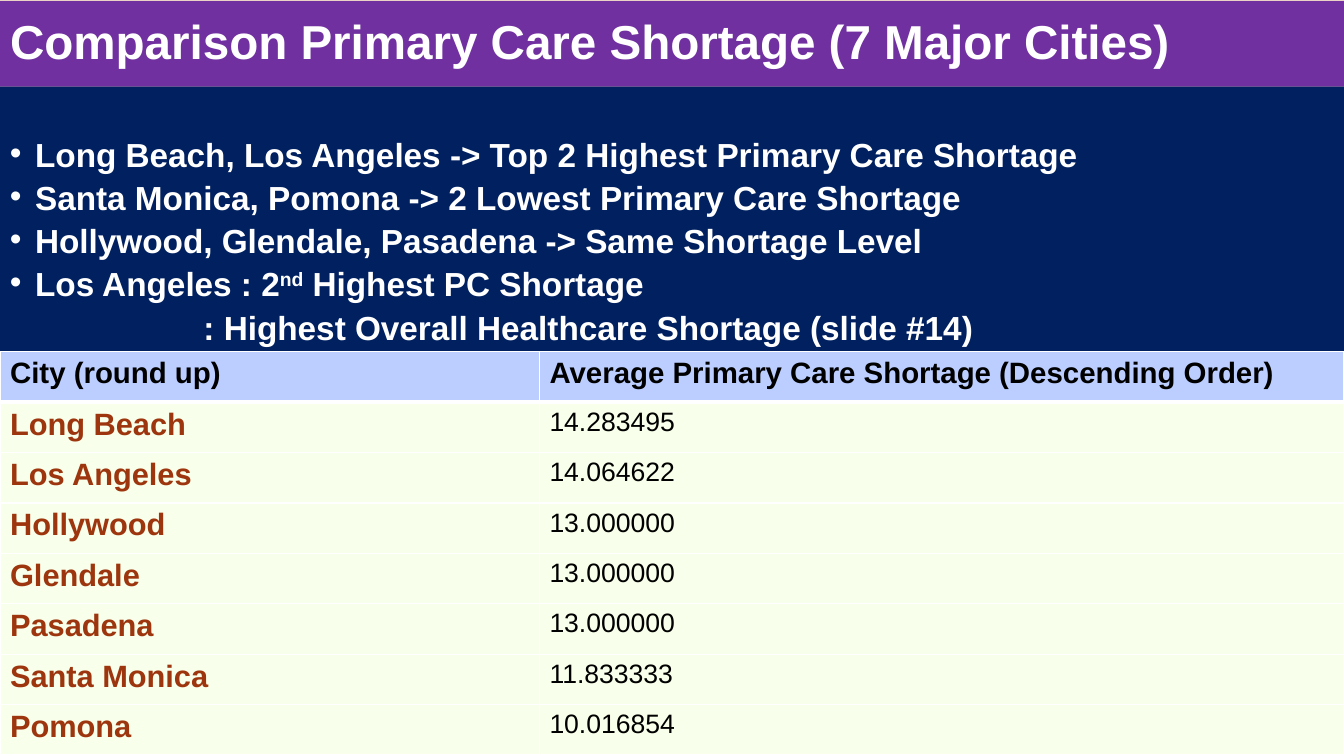
from lxml import etree
from pptx import Presentation
from pptx.dml.color import RGBColor
from pptx.enum import text
from pptx.oxml import ns
from pptx.util import Inches, Pt

FONT = "Arial"
COLORS = {
    "background": "FCEAD0",
    "title": "7030A0",
    "panel": "002060",
    "white": "FFFFFF",
    "black": "000000",
    "city": "9D360E",
    "header": "BBCEFF",
    "row": "F8FFEA",
}
SLIDE_WIDTH = 13.33
FINDINGS = [
    ["Long Beach, Los Angeles -> Top 2 Highest Primary Care Shortage"],
    ["Santa Monica, Pomona -> 2 Lowest Primary Care Shortage"],
    ["Hollywood, Glendale, Pasadena -> Same Shortage Level"],
    ["Los Angeles : 2", "nd", " Highest PC Shortage"],
]
CONTINUATION = ": Highest Overall Healthcare Shortage (slide #14)"
SHORTAGES = [
    ("City (round up)", "Average Primary Care Shortage (Descending Order)"),
    ("Long Beach", "14.283495"),
    ("Los Angeles", "14.064622"),
    ("Hollywood", "13.000000"),
    ("Glendale", "13.000000"),
    ("Pasadena", "13.000000"),
    ("Santa Monica", "11.833333"),
    ("Pomona", "10.016854"),
]


def color(name):
    return RGBColor.from_string(COLORS[name])


def set_fill(owner, name):
    owner.fill.solid()
    owner.fill.fore_color.rgb = color(name)


def set_font(paragraph, size, name, bold=True):
    font = paragraph.font
    font.name, font.size, font.bold = FONT, Pt(size), bold
    font.color.rgb = color(name)


def place(shape, left, top, width, height):
    shape.left, shape.top = Inches(left), Inches(top)
    shape.width, shape.height = Inches(width), Inches(height)


def add_title(slide, wording):
    title = slide.shapes.title
    place(title, 0, 0.01, SLIDE_WIDTH, 0.85)
    set_fill(title, "title")
    frame = title.text_frame
    frame.text = wording
    frame.vertical_anchor = text.MSO_ANCHOR.MIDDLE
    paragraph = frame.paragraphs[0]
    paragraph.alignment = text.PP_ALIGN.LEFT
    paragraph.line_spacing = 0.9
    set_font(paragraph, 34, "white")


def set_indent(paragraph, left, bullet):
    properties = paragraph._p.get_or_add_pPr()
    properties.set("marL", str(Inches(left)))
    if bullet:
        properties.set("indent", str(-Inches(left)))
        etree.SubElement(properties, ns.qn("a:buFont"), typeface=FONT)
        etree.SubElement(properties, ns.qn("a:buChar"), char="•")


def add_findings(slide):
    panel = slide.shapes.add_textbox(0, Inches(0.86), Inches(SLIDE_WIDTH), Inches(2.63))
    set_fill(panel, "panel")
    frame = panel.text_frame
    frame.word_wrap = True
    frame.margin_top = Inches(0.58)
    for index, pieces in enumerate(FINDINGS + [[CONTINUATION]]):
        paragraph = frame.add_paragraph() if index else frame.paragraphs[0]
        bullet = index < len(FINDINGS)
        set_indent(paragraph, 0.25 if bullet else 1.92, bullet)
        paragraph.line_spacing = 0.7
        if index:
            paragraph.space_before = Pt(10.8)
        set_font(paragraph, 23.8, "white")
        for piece in pieces:
            run = paragraph.add_run()
            run.text = piece
            if piece == "nd":
                run.font._element.set("baseline", "30000")


def set_borders(cell, top, bottom):
    """Draw white borders on all sides, with top and bottom widths in points."""
    properties = cell._tc.get_or_add_tcPr()
    for side, width in (("L", 1), ("R", 1), ("T", top), ("B", bottom)):
        line = etree.SubElement(properties, ns.qn(f"a:ln{side}"), w=str(Pt(width)))
        fill = etree.SubElement(line, ns.qn("a:solidFill"))
        etree.SubElement(fill, ns.qn("a:srgbClr"), val=COLORS["white"])


def add_shortage_table(slide):
    frame = slide.shapes.add_table(
        len(SHORTAGES), 2, 0, Inches(3.49), Inches(SLIDE_WIDTH), Inches(4))
    table = frame.table
    for column, width in zip(table.columns, (5.35, 7.98)):
        column.width = Inches(width)
    for row_index, values in enumerate(SHORTAGES):
        table.rows[row_index].height = Inches(0.5)
        for column_index, value in enumerate(values):
            cell = table.cell(row_index, column_index)
            cell.text = value
            set_borders(cell, 3 if row_index == 1 else 1, 3 if row_index == 0 else 1)
            set_fill(cell, "row" if row_index else "header")
            paragraph = cell.text_frame.paragraphs[0]
            if row_index == 0:
                set_font(paragraph, 21, "black")
            elif column_index == 0:
                set_font(paragraph, 22, "city")
            else:
                set_font(paragraph, 19, "black", bold=False)


def main():
    presentation = Presentation()
    presentation.slide_width = Inches(SLIDE_WIDTH)
    presentation.slide_height = Inches(7.5)
    slide = presentation.slides.add_slide(presentation.slide_layouts[5])
    set_fill(slide.background, "background")
    add_title(slide, "Comparison Primary Care Shortage (7 Major Cities)")
    add_findings(slide)
    add_shortage_table(slide)
    presentation.save("out.pptx")


if __name__ == "__main__":
    main()
